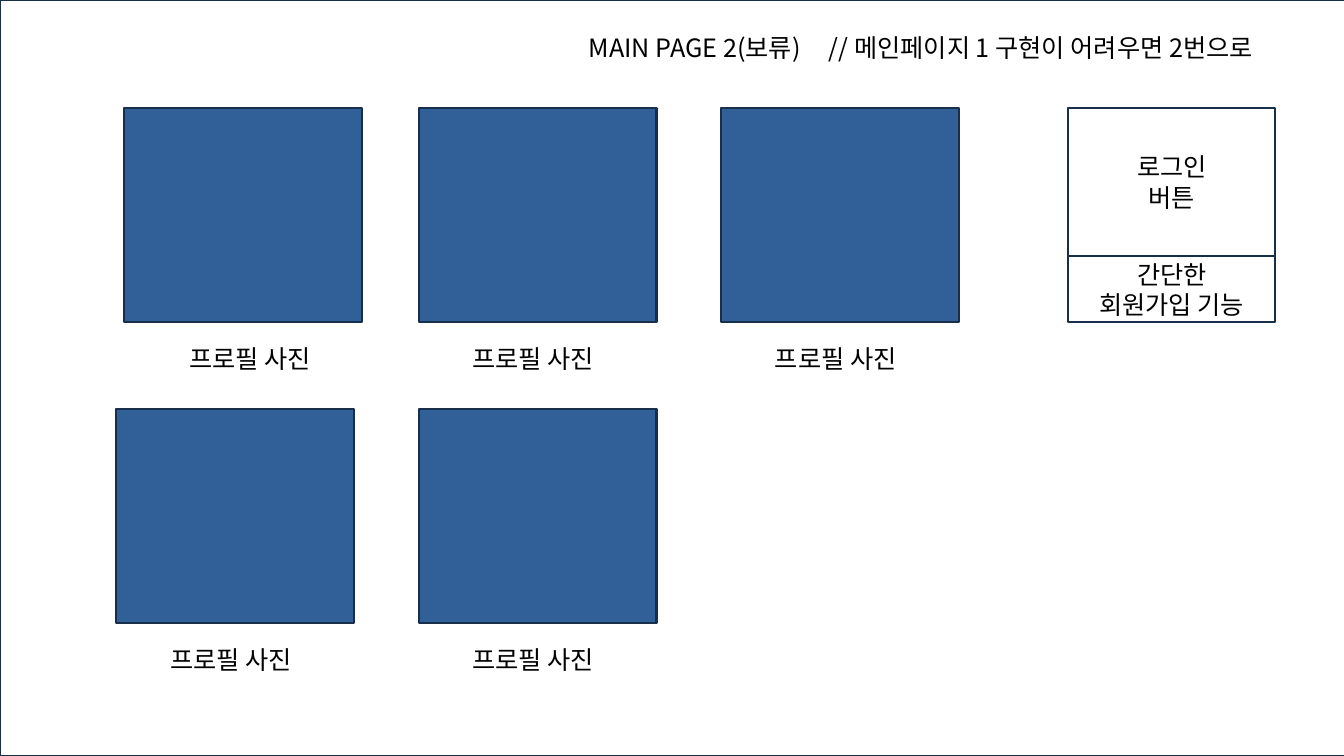
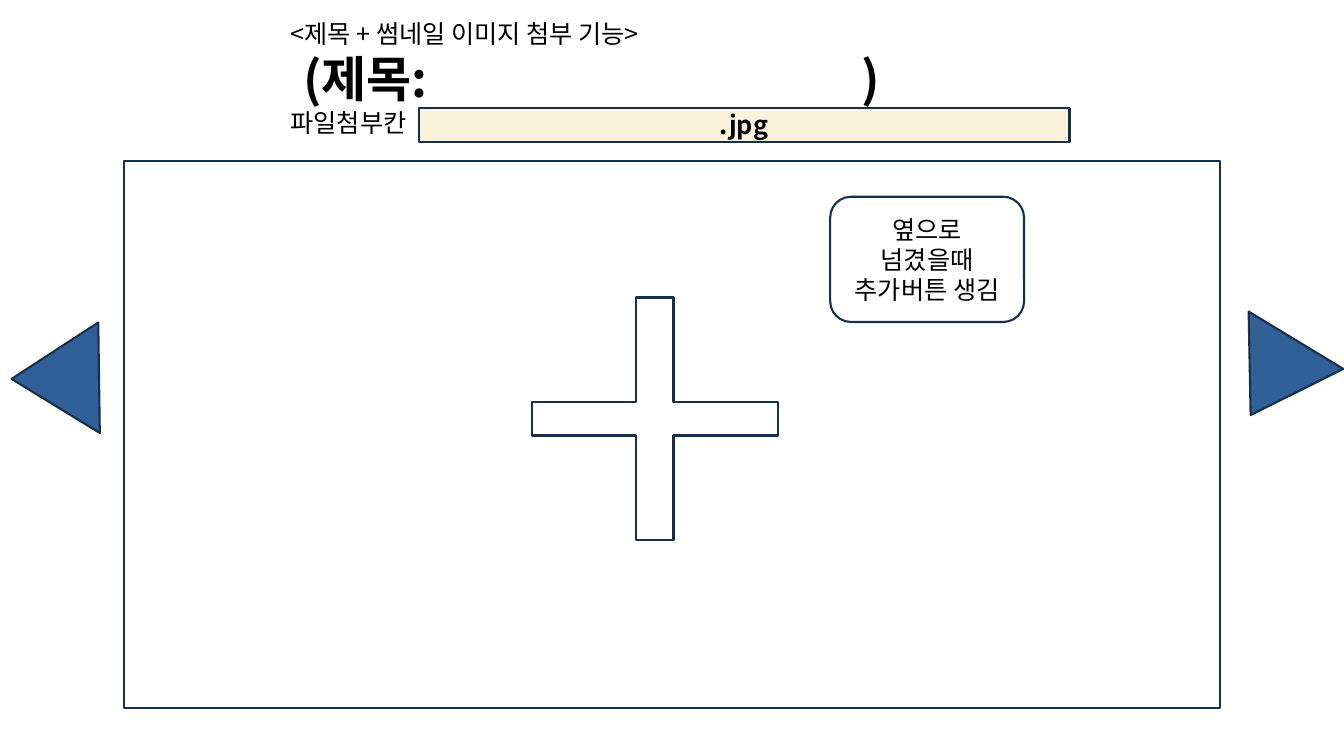
from lxml import etree
from pptx import Presentation
from pptx.dml.color import RGBColor
from pptx.enum.shapes import MSO_SHAPE
from pptx.enum.text import MSO_ANCHOR, PP_ALIGN
from pptx.oxml.ns import qn
from pptx.util import Pt

RECT, ROUND = MSO_SHAPE.RECTANGLE, MSO_SHAPE.ROUNDED_RECTANGLE
CROSS, ARROW = MSO_SHAPE.CROSS, MSO_SHAPE.ISOSCELES_TRIANGLE
CENTER, MIDDLE = PP_ALIGN.CENTER, MSO_ANCHOR.MIDDLE

FONT = "Noto Sans CJK KR"
BLACK = RGBColor(0, 0, 0)
WHITE = RGBColor(0xFF, 0xFF, 0xFF)
BLUE = RGBColor(0x31, 0x5F, 0x97)
NAVY = RGBColor(0x18, 0x2F, 0x4B)
CREAM = RGBColor(0xFA, 0xF3, 0xDB)

# Content: boxes are left, top, width, height
WIDE, HIGH = 960, 540
HEAD = "MAIN PAGE 2(보류)\t// 메인페이지 1 구현이 어려우면 2번으로"
LABEL = "프로필 사진"
PHOTO = (170, 153)
STEP = 216
# Each row: photo top, first photo left, first label left, photo count
ROWS = [(77, 88.5, 128, 3), (292, 83, 114.5, 2)]
NEXT_X, LABEL_X, LABEL_DY = 299, 330.5, 164.5

LOGIN = [((763, 77, 148, 106), "로그인\n버튼"),
         ((763, 183, 148, 47), "간단한\n회원가입 기능")]

# Each line: text, size, bold, tab stops
FORM = [("<제목 + 썸네일 이미지 첨부 기능>", 18, False, []),
        ("\t(제목:\t)", 35, True, [9, 408]),
        ("파일첨부칸", 18, False, [])]
ARROWS = [((0, 239, 79, 62.5), 269.2), ((870, 238.5, 79, 62.5), 211.2)]


def style(para, size=18, bold=False, tabs=()):
    if tabs:
        stops = etree.SubElement(para._p.get_or_add_pPr(), qn("a:tabLst"))
        for pos in tabs:
            etree.SubElement(stops, qn("a:tab"), pos=str(Pt(pos)), algn="l")
    for run in para.runs:
        font = run.font
        font.name, font.size, font.bold = FONT, Pt(size), bold
        font.color.rgb = BLACK
        latin = run._r.rPr.find(qn("a:latin"))
        latin.addnext(etree.Element(qn("a:ea"), typeface=FONT))


def add_box(slide, kind, box, fill=WHITE, text="", bold=False):
    shape = slide.shapes.add_shape(kind, *map(Pt, box))
    shape.shadow.inherit = False
    if fill is None:
        shape.fill.background()
    else:
        shape.fill.solid()
        shape.fill.fore_color.rgb = fill
    shape.line.color.rgb = NAVY
    shape.line.width = Pt(1.5)
    if text:
        frame = shape.text_frame
        frame.text = text
        frame.vertical_anchor = MIDDLE
        for para in frame.paragraphs:
            para.alignment = CENTER
            style(para, bold=bold)
    return shape


def add_text(slide, box, lines):
    frame = slide.shapes.add_textbox(*map(Pt, box)).text_frame
    frame.word_wrap = True
    for i, (text, *look) in enumerate(lines):
        para = frame.add_paragraph() if i else frame.paragraphs[0]
        para.text = text
        style(para, *look)


def main_page(slide):
    add_box(slide, RECT, (0, 0, 968, HIGH))
    add_text(slide, (413.5, 19.5, 506, 28), [(HEAD, 18, False, [171.5])])
    # Profile grid
    for top, left, label, count in ROWS:
        for col in range(count):
            shift = (col - 1) * STEP
            x = NEXT_X + shift if col else left
            tag = LABEL_X + shift if col else label
            add_box(slide, RECT, (x, top, *PHOTO), BLUE)
            add_text(slide, (tag, top + LABEL_DY, 108, 29), [(LABEL,)])
    # Login panel
    for box, text in LOGIN:
        add_box(slide, RECT, box, text=text)


def upload_page(slide):
    add_box(slide, RECT, (88.5, 115, 783, 391))
    plus = add_box(slide, CROSS, (380, 212.5, 175.5, 173))
    plus.adjustments[0] = 0.43
    for box, angle in ARROWS:
        add_box(slide, ARROW, box, BLUE).rotation = angle
    add_box(slide, ROUND, (593, 140.5, 138.5, 89.5), None,
            "옆으로 넘겼을때\n추가버튼 생김")
    # Title and file field
    add_text(slide, (200.5, 9.5, 670, 93), FORM)
    add_box(slide, RECT, (299, 77, 465, 24.5), CREAM, ".jpg", True)


def main():
    deck = Presentation()
    deck.slide_width, deck.slide_height = Pt(WIDE), Pt(HIGH)
    for build in (main_page, upload_page):
        build(deck.slides.add_slide(deck.slide_layouts[6]))
    deck.save("out.pptx")


if __name__ == "__main__":
    main()
